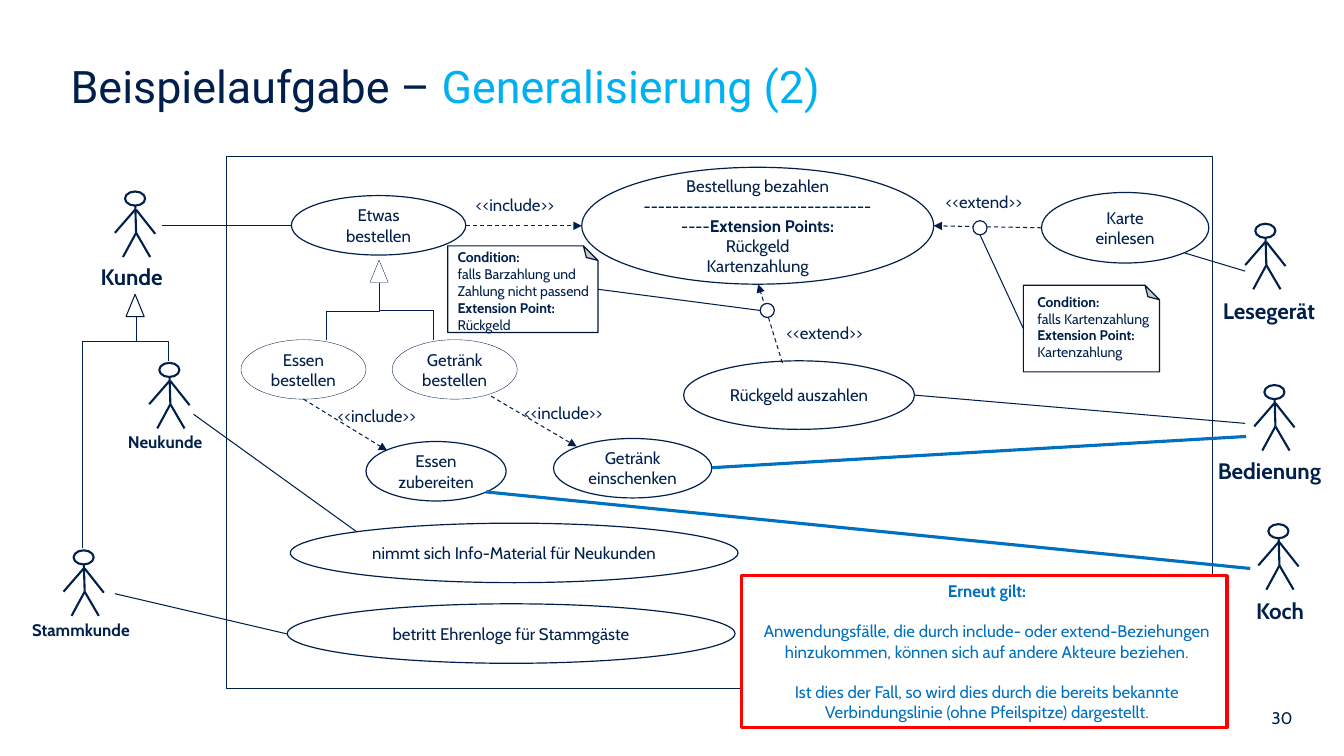
from lxml import etree
from pptx import Presentation
from pptx.dml.color import RGBColor
from pptx.enum.dml import MSO_LINE
from pptx.enum.shapes import MSO_CONNECTOR, MSO_SHAPE
from pptx.enum.text import MSO_ANCHOR, MSO_AUTO_SIZE, PP_ALIGN
from pptx.oxml.ns import qn
from pptx.util import Inches, Pt

NAVY = RGBColor(0x00, 0x20, 0x4B)
INK = RGBColor(0x00, 0x18, 0x37)
CYAN = RGBColor(0x00, 0xB0, 0xF0)
BLUE = RGBColor(0x00, 0x70, 0xC0)
RED = RGBColor(0xFF, 0x00, 0x00)
WHITE = RGBColor(0xFF, 0xFF, 0xFF)
OVAL, RECT = MSO_SHAPE.OVAL, MSO_SHAPE.RECTANGLE
TRIANGLE, NOTE = MSO_SHAPE.ISOSCELES_TRIANGLE, MSO_SHAPE.FOLDED_CORNER
STRAIGHT, ELBOW = MSO_CONNECTOR.STRAIGHT, MSO_CONNECTOR.ELBOW
LEFT, CENTER, RIGHT = PP_ALIGN.LEFT, PP_ALIGN.CENTER, PP_ALIGN.RIGHT
THIN, HAIR, OUTLINE, LIMB, STRONG = 0.75, 0.25, 0.85, 1.5, 2.25

# Content: boxes are (left, top, width, height), lines are (x1, y1, x2, y2)
TITLE = [("Beispielaufgabe – ", NAVY), ("Generalisierung (2)", CYAN)]
PAGE = "30"
SYSTEM = (2.25, 1.55, 9.78, 5.28)

# Name, figure centre and top, label box, label size
ACTORS = [
    ("Kunde", 1.34, 1.9, (0.9, 2.56, 0.89, 0.37), 16),
    ("Bedienung", 12.64, 3.82, (11.98, 4.49, 1.33, 0.37), 16),
    ("Koch", 12.68, 5.2, (12.36, 5.88, 0.72, 0.37), 16),
    ("Lesegerät", 12.55, 2.22, (12.03, 2.9, 1.22, 0.37), 16),
    ("Neukunde", 1.68, 3.6, (1.17, 4.23, 1.02, 0.3), 12),
    ("Stammkunde", 0.83, 5.46, (0.22, 6.1, 1.25, 0.3), 12),
]
# Limbs relative to the figure's centre and top
LIMBS = [(0, 0.08, 0.01, 0.41), (0.01, 0.41, -0.12, 0.65), (0.01, 0.41, 0.15, 0.65),
         (0, 0.18, -0.2, 0.41), (0.01, 0.18, 0.2, 0.42)]

USE_CASES = [
    ("Etwas bestellen", (2.89, 1.94, 1.73, 0.59), OUTLINE),
    ("Rückgeld auszahlen", (6.78, 3.58, 2.29, 0.68), OUTLINE),
    ("Karte einlesen", (10.33, 1.91, 1.66, 0.7), OUTLINE),
    ("nimmt sich Info-Material für Neukunden", (2.88, 5.19, 4.44, 0.59), OUTLINE),
    ("betritt Ehrenloge für Stammgäste", (2.85, 5.99, 4.44, 0.59), OUTLINE),
    ("Essen bestellen", (2.39, 3.37, 1.24, 0.59), HAIR),
    ("Getränk bestellen", (3.89, 3.37, 1.24, 0.59), HAIR),
    ("Essen zubereiten", (3.63, 4.38, 1.39, 0.59), OUTLINE),
    ("Getränk einschenken", (5.49, 4.35, 1.57, 0.59), OUTLINE),
]
PAYMENT = (5.77, 1.66, 3.49, 1.16)
# Paragraphs are lists of (text, bold) runs
PAYMENT_TEXT = [
    [("Bestellung bezahlen", False)],
    [("------------------------------------", False), ("Extension Points:", True)],
    [("Rückgeld", False)],
    [("Kartenzahlung", False)],
]

ASSOCIATIONS = [
    (1.61, 2.24, 2.89, 2.24), (12.35, 4.2, 9.07, 3.92), (12.35, 2.69, 11.75, 2.51),
    (1.92, 4.11, 3.53, 5.27), (1.14, 5.89, 2.85, 6.29),
    (5.93, 2.87, 7.54, 3.08), (9.72, 2.33, 10.15, 3.26),
]
NEW_ASSOCIATIONS = [(12.4, 5.64, 4.82, 4.88), (12.36, 4.33, 7.06, 4.64)]
# Dashed arrow, its label, label box
DEPENDENCIES = [
    ((4.62, 2.24, 5.77, 2.24), "<<include>>", (4.62, 1.88, 1.12, 0.3)),
    ((7.76, 3.6, 7.52, 2.82), "<<extend>>", (7.7, 3.15, 1.09, 0.3)),
    ((10.33, 2.26, 9.26, 2.24), "<<extend>>", (9.28, 1.85, 1.09, 0.3)),
    ((3.01, 3.96, 3.84, 4.47), "<<include>>", (3.25, 3.98, 1.12, 0.3)),
    ((4.87, 3.93, 5.72, 4.43), "<<include>>", (5.1, 3.95, 1.12, 0.3)),
]
EXTEND_DOTS = [(7.54, 3.01), (9.65, 2.19)]
# Triangle left and top, triangle outline colour, line width, branches with bend position
GENERALIZATIONS = [
    (1.25, 2.92, INK, THIN,
     [((1.35, 3.15, 1.67, 3.58), 0.545), ((1.35, 3.37, 0.82, 5.44), 0.008)]),
    (3.67, 2.58, NAVY, HAIR,
     [((3.76, 2.81, 4.3, 3.37), 0.482), ((3.76, 3.09, 3.24, 3.37), 0.003)]),
]
CONDITIONS = [
    ((4.44, 2.44, 1.49, 0.86), (4.44, 2.42, 2.17, 1.11),
     ["falls Barzahlung und", "Zahlung nicht passend"], "Rückgeld"),
    ((10.15, 2.83, 1.35, 0.86), (10.19, 2.86, 1.4, 0.94),
     ["falls Kartenzahlung"], "Kartenzahlung"),
]
REMINDER_FRAME, REMINDER = (7.35, 5.71, 4.82, 1.51), (7.34, 5.71, 4.9, 1.51)
REMINDER_TEXT = [
    [("Erneut gilt:", True)],
    [("Anwendungsfälle, die durch include- oder extend-Beziehungen", False)],
    [("hinzukommen, können sich auf andere Akteure beziehen.", False)],
    [("Ist dies der Fall, so wird dies durch die bereits bekannte "
      "Verbindungslinie (ohne Pfeilspitze) dargestellt.", False)],
]
REMINDER_GAPS = (1, 3)  # paragraphs set off by one line

prs = Presentation()
prs.slide_width, prs.slide_height = Inches(13.33), Inches(7.5)
slide = prs.slides.add_slide(prs.slide_layouts[5])
shapes = slide.shapes


def inches(values):
    return [Inches(v) for v in values]


def write(frame, paragraphs, size, color=NAVY, align=LEFT):
    for i, runs in enumerate(paragraphs):
        paragraph = frame.paragraphs[0] if i == 0 else frame.add_paragraph()
        paragraph.alignment = align
        for text, bold in runs:
            run = paragraph.add_run()
            run.text = text
            run.font.name, run.font.size, run.font.bold = "Cabin", Pt(size), bold
            run.font.color.rgb = color


def add_text(box, paragraphs, size, wrap=True, **style):
    frame = shapes.add_textbox(*inches(box)).text_frame
    frame.word_wrap = wrap
    frame.auto_size = MSO_AUTO_SIZE.SHAPE_TO_FIT_TEXT
    write(frame, paragraphs, size, **style)
    return frame


def add_outline(kind, box, width=OUTLINE, color=NAVY, filled=True):
    shape = shapes.add_shape(kind, *inches(box))
    shape.shadow.inherit = False
    if filled:
        shape.fill.solid()
        shape.fill.fore_color.rgb = WHITE
    else:
        shape.fill.background()
    shape.line.color.rgb, shape.line.width = color, Pt(width)
    return shape


def add_use_case(box, paragraphs, width=OUTLINE):
    frame = add_outline(OVAL, box, width).text_frame
    frame.word_wrap = True
    frame.vertical_anchor = MSO_ANCHOR.MIDDLE
    write(frame, paragraphs, 12, align=CENTER)


def add_line(ends, width=THIN, color=NAVY, kind=STRAIGHT):
    line = shapes.add_connector(kind, *inches(ends))
    line.line.color.rgb, line.line.width = color, Pt(width)
    etree.SubElement(line._element.spPr, qn("a:effectLst"))
    return line


def add_branch(ends, bend, width):
    """Elbow that leaves downwards: a sideways elbow turned by 90 degrees."""
    x1, y1, x2, y2 = ends
    cx, cy, half_w, half_h = (x1 + x2) / 2, (y1 + y2) / 2, (y2 - y1) / 2, (x1 - x2) / 2
    branch = add_line((cx - half_w, cy - half_h, cx + half_w, cy + half_h), width, kind=ELBOW)
    properties = branch._element.spPr
    properties.find(qn("a:xfrm")).set("rot", "5400000")
    guides = properties.find(qn("a:prstGeom")).get_or_add_avLst()
    etree.SubElement(guides, qn("a:gd"), name="adj1", fmla=f"val {round(bend * 100000)}")


# Title and page number
title = shapes.title
title.left, title.top, title.width, title.height = inches((0.6, 0.48, 12.18, 0.79))
title.text_frame.auto_size = MSO_AUTO_SIZE.NONE
title.text_frame.vertical_anchor = MSO_ANCHOR.TOP
title.text_frame.margin_top = Inches(0.1)
heading = title.text_frame.paragraphs[0]
heading.alignment = LEFT
for text, color in TITLE:
    run = heading.add_run()
    run.text = text
    run.font.name, run.font.size, run.font.color.rgb = "Roboto", Pt(32), color
add_text((8.45, 6.97, 4.47, 0.4), [[(PAGE, False)]], 12, align=RIGHT)

# System boundary and use cases
add_outline(RECT, SYSTEM, filled=False)
for name, box, width in USE_CASES:
    add_use_case(box, [[(name, False)]], width)
add_use_case(PAYMENT, PAYMENT_TEXT)

# Actors
for name, x, y, label, size in ACTORS:
    for x1, y1, x2, y2 in LIMBS:
        add_line((x + x1, y + y1, x + x2, y + y2), LIMB)
    add_outline(OVAL, (x - 0.1, y, 0.2, 0.14), LIMB)
    add_text(label, [[(name, True)]], size, wrap=False)

# Condition notes
for box, text_box, condition, point in CONDITIONS:
    note = add_outline(NOTE, box, color=INK)
    note._element.spPr.find(qn("a:xfrm")).set("flipV", "1")
    lines = [("Condition:", True), *[(text, False) for text in condition],
             ("Extension Point:", True), (point, False)]
    add_text(text_box, [[line] for line in lines], 10)

# Associations, dependencies and generalizations
for ends in ASSOCIATIONS:
    add_line(ends)
for ends in NEW_ASSOCIATIONS:
    add_line(ends, STRONG, BLUE)
for ends, label, box in DEPENDENCIES:
    arrow = add_line(ends)
    arrow.line.dash_style = MSO_LINE.DASH
    etree.SubElement(arrow.line._get_or_add_ln(), qn("a:tailEnd"), type="triangle")
    add_text(box, [[(label, False)]], 12, wrap=False)
for x, y in EXTEND_DOTS:
    add_outline(OVAL, (x, y, 0.14, 0.14))
for x, y, color, width, branches in GENERALIZATIONS:
    add_outline(TRIANGLE, (x, y, 0.18, 0.22), width, color)
    for ends, bend in branches:
        add_branch(ends, bend, width)

# Reminder
add_outline(RECT, REMINDER_FRAME, STRONG, RED)
reminder = add_text(REMINDER, REMINDER_TEXT, 12, color=BLUE, align=CENTER)
for i in REMINDER_GAPS:
    reminder.paragraphs[i].space_before = Pt(14.6)

prs.save("out.pptx")
